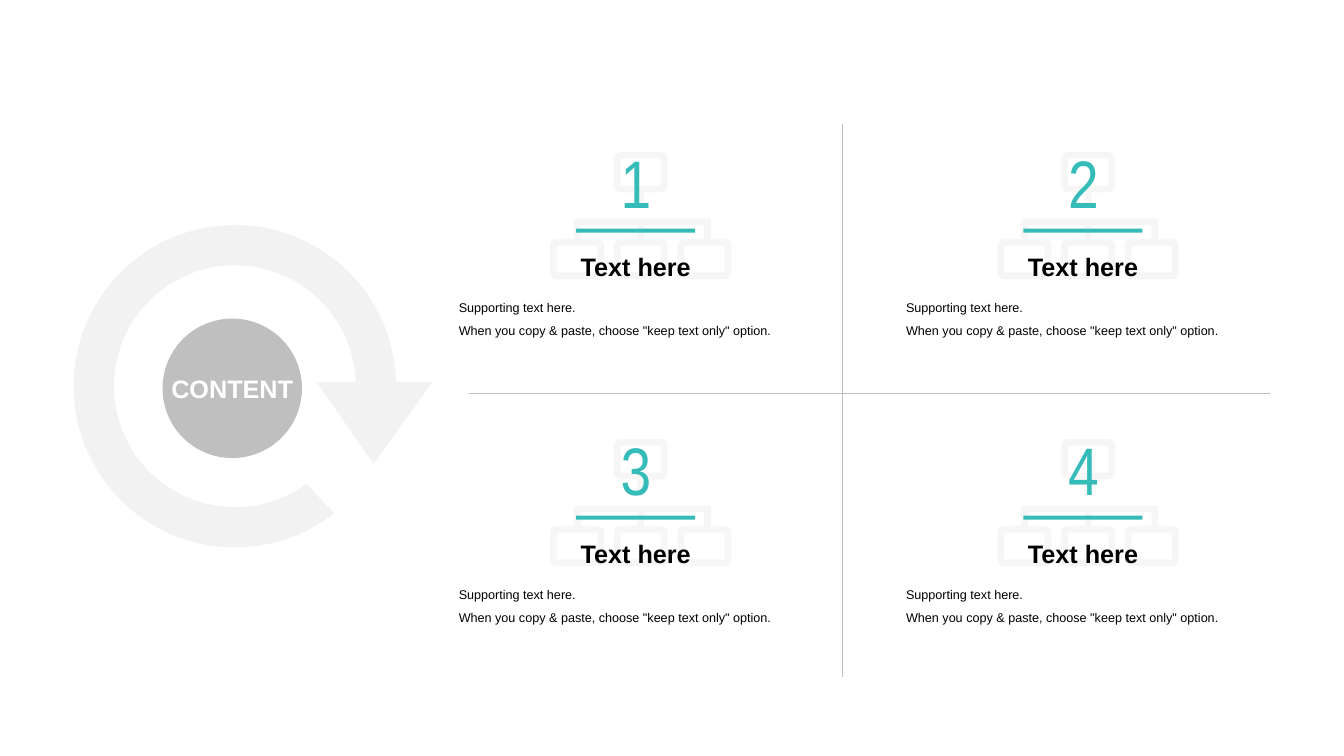
from dataclasses import dataclass
from itertools import product
from math import cos, radians, sin

from lxml.etree import SubElement
from pptx import Presentation
from pptx.dml.color import RGBColor
from pptx.enum.shapes import MSO_CONNECTOR, MSO_SHAPE
from pptx.enum.text import MSO_ANCHOR, PP_ALIGN
from pptx.oxml.ns import qn
from pptx.util import Pt

TEAL = RGBColor(0x35, 0xBC, 0xB8)
PALE = RGBColor(0xF2, 0xF2, 0xF2)
GREY = RGBColor(0xBF, 0xBF, 0xBF)
WHITE = RGBColor(0xFF, 0xFF, 0xFF)
BLACK = RGBColor(0, 0, 0)

Point = tuple[float, float]
Path = list[Point]


@dataclass
class Box:
    left: float
    top: float
    width: float
    height: float

    def move(self, x: float, y: float) -> "Box":
        return Box(self.left + x, self.top + y, self.width, self.height)

    def sizes(self) -> list[Pt]:
        return [Pt(v) for v in (self.left, self.top, self.width, self.height)]


@dataclass
class Style:
    color: RGBColor
    font: dict
    frame: dict
    para: dict


def insets(x: float, y: float) -> dict:
    return {"margin_left": Pt(x), "margin_right": Pt(x),
            "margin_top": Pt(y), "margin_bottom": Pt(y)}


BOLD = {"name": "Arial", "size": Pt(18), "bold": True}
MID = {"alignment": PP_ALIGN.CENTER}
HUB = Style(WHITE, BOLD, {"word_wrap": False, "vertical_anchor": MSO_ANCHOR.MIDDLE}, MID)
NUMBER = Style(TEAL, {"name": "Arial Narrow", "size": Pt(48)},
               {"word_wrap": False, "vertical_anchor": MSO_ANCHOR.MIDDLE,
                **insets(14.4, 7.2)}, MID)
HEAD = Style(BLACK, BOLD,
             {"word_wrap": False, "vertical_anchor": MSO_ANCHOR.BOTTOM,
              **insets(7.2, 3.6)}, MID)
BODY = Style(BLACK, {"name": "Arial", "size": Pt(9)},
             {"word_wrap": True, "vertical_anchor": MSO_ANCHOR.TOP,
              **insets(7.2, 3.6)},
             {"alignment": PP_ALIGN.LEFT, "line_spacing": 1.5})

LINES = ["Supporting text here.",
         'When you copy & paste, choose "keep text only" option.']
STEP_X, STEP_Y = 319.5, 205
ICON_X, ICON_Y = 393, 108.6
RULE = Box(411.5, 163.4, 85, 2.9)
DIGIT = Box(426.2, 93.4, 56.2, 72.7)
TITLE = Box(320.6, 170, 267, 34.6)
NOTES = Box(320.6, 205.2, 267, 48.2)


def apply(target, values: dict) -> None:
    for name, value in values.items():
        setattr(target, name, value)


def write(shape, lines: list[str], style: Style) -> None:
    frame = shape.text_frame
    apply(frame, style.frame)
    frame.text = "\n".join(lines)
    for para in frame.paragraphs:
        apply(para, style.para)
        for run in para.runs:
            apply(run.font, style.font)
            run.font.color.rgb = style.color


def paint(shape, color: RGBColor | None) -> None:
    shape.shadow.inherit = False
    shape.line.fill.background()
    if color is None:
        shape.fill.background()
    else:
        shape.fill.solid()
        shape.fill.fore_color.rgb = color


def block(shapes, kind: MSO_SHAPE, box: Box, color: RGBColor | None):
    shape = shapes.add_shape(kind, *box.sizes())
    paint(shape, color)
    return shape


def label(shapes, box: Box, text: str, style: Style) -> None:
    write(shapes.add_textbox(*box.sizes()), [text], style)


def arc(x: float, y: float, radius: float, start: float, end: float,
        count: int) -> Path:
    turns = [radians(start + (end - start) * i / count) for i in range(count + 1)]
    return [(x + radius * cos(t), y + radius * sin(t)) for t in turns]


def rounded(box: Box, radius: float) -> Path:
    right, low = box.left + box.width - radius, box.top + box.height - radius
    left, high = box.left + radius, box.top + radius
    spots = [(left, high), (right, high), (right, low), (left, low)]
    return [p for i, (x, y) in enumerate(spots)
            for p in arc(x, y, radius, 180 + 90 * i, 270 + 90 * i, 6)]


def outline(shapes, paths: list[Path], color: RGBColor):
    paths = [[(Pt(x), Pt(y)) for x, y in path] for path in paths]
    pen = shapes.build_freeform(*paths[0][0])
    for i, path in enumerate(paths):
        if i:
            pen.move_to(*path[0])
        pen.add_line_segments(path[1:], close=True)
    shape = pen.convert_to_shape()
    paint(shape, color)
    return shape


def chart_icon(shapes, x: float, y: float) -> None:
    wide, high, edge, top, pitch = 38.5, 28.8, 4.8, 62, 45.5
    paths: list[Path] = []
    for left, up in [(pitch, 0), (0, top), (pitch, top), (2 * pitch, top)]:
        paths.append(rounded(Box(left, up, wide, high), edge))
        paths.append([(left + edge, up + edge), (left + wide - edge, up + edge),
                      (left + wide - edge, up + high - edge),
                      (left + edge, up + high - edge)])
    stems = [16.9, 62.4, 110.1]
    bar, under = 47.5, 52.3
    comb = arc(stems[0] + 2, bar + 2, 2, 180, 270, 4)
    comb += arc(stems[2] + edge - 2, bar + 2, 2, 270, 360, 4)
    for stem in reversed(stems):
        comb += [(stem + edge, under), (stem + edge, top), (stem, top), (stem, under)]
    stem = stems[1]
    paths += [comb, [(stem, high), (stem + edge, high),
                     (stem + edge, 40.3), (stem, 40.3)]]
    placed = [[(x + a, y + b) for a, b in path] for path in paths]
    icon = outline(shapes, placed, PALE)
    tone = icon.fill._xPr.find(qn("a:solidFill"))[0]
    SubElement(tone, qn("a:alpha"), val="64000")


def panel(shapes, number: int, x: float, y: float) -> None:
    chart_icon(shapes, ICON_X + x, ICON_Y + y)
    block(shapes, MSO_SHAPE.RECTANGLE, RULE.move(x, y), TEAL)
    label(shapes, DIGIT.move(x, y), str(number), NUMBER)
    notes = block(shapes, MSO_SHAPE.SNIP_2_SAME_RECTANGLE, NOTES.move(x, y), None)
    notes.adjustments[0] = 0
    notes.adjustments[1] = 0
    write(notes, LINES, BODY)
    label(shapes, TITLE.move(x, y), "Text here", HEAD)


def cycle(shapes) -> None:
    x, y = 167.8, 275.9
    ring = arc(x, y, 115.2, 52, 358.5, 80)
    ring += [(309, 272.9), (267, 331.3), (226, 272.9)]
    ring += arc(x, y, 86.4, 358, 53.8, 80)
    outline(shapes, [ring], PALE)
    hub = block(shapes, MSO_SHAPE.OVAL, Box(116.1, 227.6, 99.6, 99.6), GREY)
    write(hub, ["CONTENT"], HUB)


def divider(shapes, start: Point, end: Point) -> None:
    line = shapes.add_connector(MSO_CONNECTOR.STRAIGHT,
                                *[Pt(v) for v in start + end])
    line.line.color.rgb = GREY
    line.line.width = Pt(0.25)
    SubElement(line._element.spPr, qn("a:effectLst"))


def main() -> None:
    deck = Presentation()
    deck.slide_width, deck.slide_height = Pt(960), Pt(540)
    shapes = deck.slides.add_slide(deck.slide_layouts[6]).shapes
    cycle(shapes)
    for number, (row, col) in enumerate(product(range(2), repeat=2), 1):
        panel(shapes, number, col * STEP_X, row * STEP_Y)
    divider(shapes, (334.8, 281), (907.2, 281))
    divider(shapes, (601.9, 88.6), (601.9, 483.8))
    deck.save("out.pptx")


if __name__ == "__main__":
    main()
